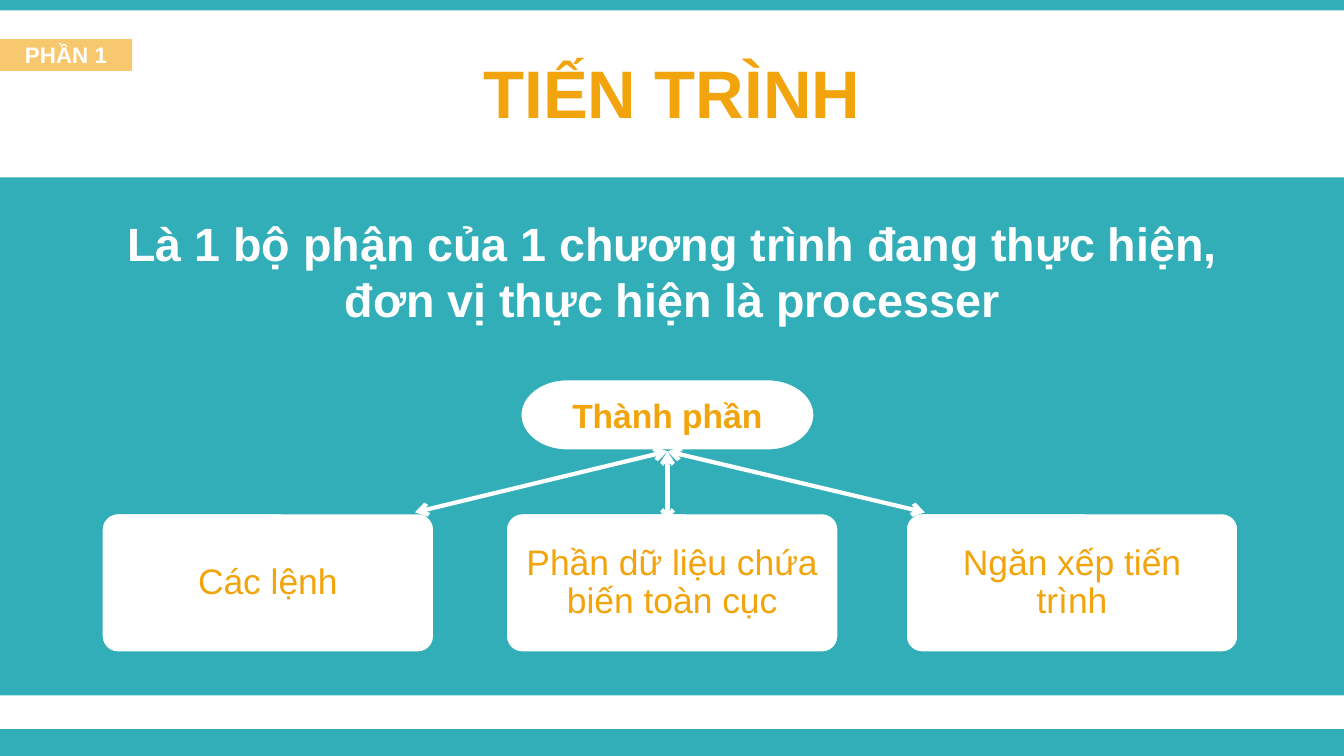
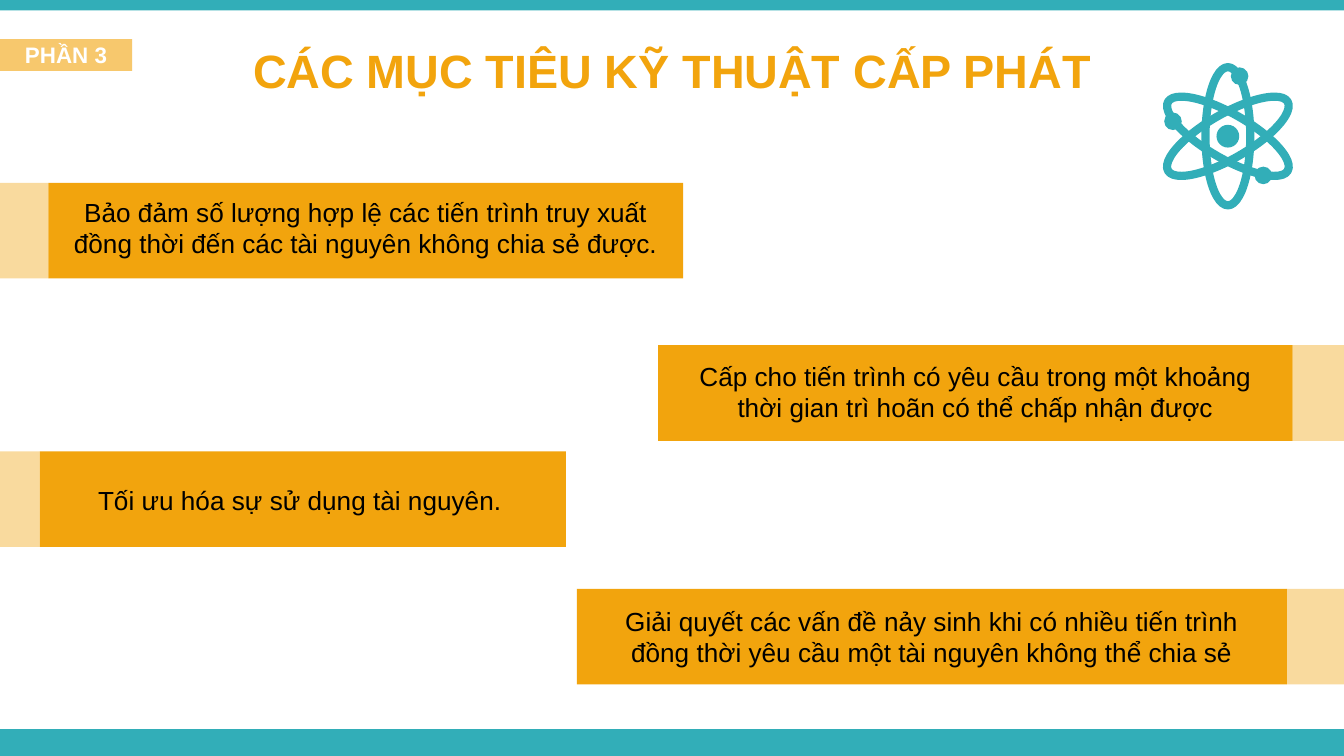
from lxml import etree
from pptx import Presentation
from pptx.dml.color import RGBColor
from pptx.enum.shapes import MSO_CONNECTOR, MSO_SHAPE
from pptx.enum.text import MSO_ANCHOR, PP_ALIGN
from pptx.oxml.ns import qn
from pptx.util import Pt

RECT, OVAL = MSO_SHAPE.RECTANGLE, MSO_SHAPE.OVAL
ROUNDED, PILL = MSO_SHAPE.ROUNDED_RECTANGLE, MSO_SHAPE.FLOWCHART_TERMINATOR
STRAIGHT = MSO_CONNECTOR.STRAIGHT
TOP, MIDDLE, CENTER = MSO_ANCHOR.TOP, MSO_ANCHOR.MIDDLE, PP_ALIGN.CENTER

# Content
PROCESS = {
    "tag": "PHẦN 1",
    "title": "TIẾN TRÌNH",
    "definition": ["Là 1 bộ phận của 1 chương trình đang thực hiện,",
                   "đơn vị thực hiện là processer"],
    "root": "Thành phần",
    "parts": [(54, "Các lệnh"),
              (270.6, "Phần dữ liệu chứa biến toàn cục"),
              (484.8, "Ngăn xếp tiến trình")],
}
GOALS = {
    "tag": "PHẦN 3",
    "title": "CÁC MỤC TIÊU KỸ THUẬT CẤP PHÁT",
    # side, bar top, bar width, width of the pale end, text shift (x, y), lines
    "bars": [
        ("left", 98, 340, 26, (0, -1.5),
         ["Bảo đảm số lượng hợp lệ các tiến trình truy xuất",
          "đồng thời đến các tài nguyên không chia sẻ được."]),
        ("right", 185, 340, 27.4, (0, -0.5),
         ["Cấp cho tiến trình có yêu cầu trong một khoảng",
          "thời gian trì hoãn có thể chấp nhận được"]),
        ("left", 241.8, 282, 21.2, (-1.5, 0.5),
         ["Tối ưu hóa sự sử dụng tài nguyên."]),
        ("right", 315.5, 380.4, 30.6, (0, 0),
         ["Giải quyết các vấn đề nảy sinh khi có nhiều tiến trình",
          "đồng thời yêu cầu một tài nguyên không thể chia sẻ"]),
    ],
}

# Shared look
W, H = 720, 405
FONT = "Arial"
COLORS = {"teal": "32AEB8", "orange": "F2A40D", "white": "FFFFFF", "black": "000000"}
STYLES = {
    "title": {"size": Pt(36), "bold": True, "color": "orange"},
    "long_title": {"size": Pt(25), "bold": True, "color": "orange"},
    "tag": {"size": Pt(12), "bold": True, "color": "white"},
    "definition": {"size": Pt(25), "bold": True, "color": "white"},
    "root": {"size": Pt(18), "bold": True, "color": "orange"},
    "part": {"size": Pt(19), "bold": False, "color": "orange"},
    "goal": {"size": Pt(14), "bold": False, "color": "black"},
}


def rgb(name):
    return RGBColor.from_string(COLORS[name])


def write(sp, lines, style, anchor=MIDDLE, spacing=None):
    tf = sp.text_frame
    tf.word_wrap = True
    tf.vertical_anchor = anchor
    for i, line in enumerate(lines):
        p = tf.paragraphs[0] if i == 0 else tf.add_paragraph()
        p.alignment = CENTER
        if spacing:
            p.line_spacing = spacing
        r = p.add_run()
        r.text = line
        r.font.name = FONT
        for key, value in STYLES[style].items():
            if key == "color":
                r.font.color.rgb = rgb(value)
            else:
                setattr(r.font, key, value)


def add_text(s, box, lines, style, anchor=MIDDLE):
    sp = s.shapes.add_textbox(*map(Pt, box))
    write(sp, lines, style, anchor)


def add_shape(s, kind, box, fill=None, alpha=None, line=None, width=2):
    sp = s.shapes.add_shape(kind, *map(Pt, box))
    sp.shadow.inherit = False
    if fill:
        sp.fill.solid()
        sp.fill.fore_color.rgb = rgb(fill)
    else:
        sp.fill.background()
    if alpha:
        color = sp.fill._xPr.find(".//" + qn("a:srgbClr"))
        etree.SubElement(color, qn("a:alpha"), val=str(alpha * 1000))
    if line:
        sp.line.color.rgb = rgb(line)
        sp.line.width = Pt(width)
    else:
        sp.line.fill.background()
    return sp


def add_arrow(s, start, end):
    c = s.shapes.add_connector(STRAIGHT, *map(Pt, start + end))
    c.line.color.rgb = rgb("white")
    c.line.width = Pt(2.25)
    ln = c.line._get_or_add_ln()
    for end_tag in ("a:headEnd", "a:tailEnd"):
        etree.SubElement(ln, qn(end_tag), type="arrow")
    etree.SubElement(c._element.spPr, qn("a:effectLst"))


def add_slide(prs):
    s = prs.slides.add_slide(prs.slide_layouts[6])
    add_shape(s, RECT, (0, 390.7, W, 14.3), "teal")
    add_shape(s, RECT, (0, 0, W, 5.6), "teal")
    return s


def add_heading(s, content, top, style):
    add_text(s, (0, top, W, 45), [content["title"]], style)
    tag = add_shape(s, RECT, (0, 21, 70.8, 17), "orange", alpha=60)
    write(tag, [content["tag"]], "tag")


def add_atom(s, cx, cy):
    def oval(dx, dy, w, h, **look):
        return add_shape(s, OVAL, (cx + dx - w / 2, cy + dy - h / 2, w, h), **look)

    for angle in (0, 60, 120):
        oval(0, 0, 24, 74, line="teal", width=4.4).rotation = angle
    for dx, dy, size in ((0, 0, 12.2), (6.3, -32.2, 9.4),
                         (-29.4, -8, 9.4), (19, 21, 9.4)):
        oval(dx, dy, size, size, fill="teal")


def process_slide(prs):
    s = add_slide(prs)
    add_shape(s, RECT, (0, 95, W, 277.6), "teal")
    add_text(s, (0, 111.6, W, 128), PROCESS["definition"], "definition", TOP)

    # Component boxes
    part_top, part_w, part_h = 274.5, 179, 75.5
    for left, label in PROCESS["parts"]:
        sp = add_shape(s, ROUNDED, (left, part_top, part_w, part_h), "white", line="teal")
        sp.adjustments[0] = 0.12
        tf = sp.text_frame
        for side in ("left", "right", "top", "bottom"):
            setattr(tf, "margin_" + side, Pt(8))
        write(sp, [label], "part", spacing=0.9)

    # Root and its arrows
    root_x, root_y, root_w, root_h = 278.4, 202.8, 158.4, 39
    root = add_shape(s, PILL, (root_x, root_y, root_w, root_h), "white", line="teal")
    write(root, [PROCESS["root"]], "root")
    hub = (root_x + root_w / 2, root_y + root_h)
    first, last = PROCESS["parts"][0][0], PROCESS["parts"][-1][0]
    corner = 10.7
    add_arrow(s, (first + part_w - corner, part_top), hub)
    add_arrow(s, hub, (last + corner, part_top))
    add_arrow(s, hub, (hub[0], part_top + 5.5))

    add_heading(s, PROCESS, 26.6, "title")


def goals_slide(prs):
    s = add_slide(prs)
    bar_h = 51.2
    for side, top, width, end_w, (dx, dy), lines in GOALS["bars"]:
        on_left = side == "left"
        left = end_w if on_left else W - end_w - width
        end_left = 0 if on_left else W - end_w
        add_shape(s, RECT, (left, top, width, bar_h), "orange")
        add_shape(s, RECT, (end_left, top, end_w, bar_h), "orange", alpha=40)
        text_h = 7.2 + 17 * len(lines)
        text_top = top + (bar_h - text_h) / 2 + dy
        add_text(s, (left + dx, text_top, width, text_h), lines, "goal", TOP)
    add_heading(s, GOALS, 15, "long_title")
    add_atom(s, 657.8, 73)


def main():
    prs = Presentation()
    prs.slide_width, prs.slide_height = Pt(W), Pt(H)
    process_slide(prs)
    goals_slide(prs)
    prs.save("out.pptx")


if __name__ == "__main__":
    main()
